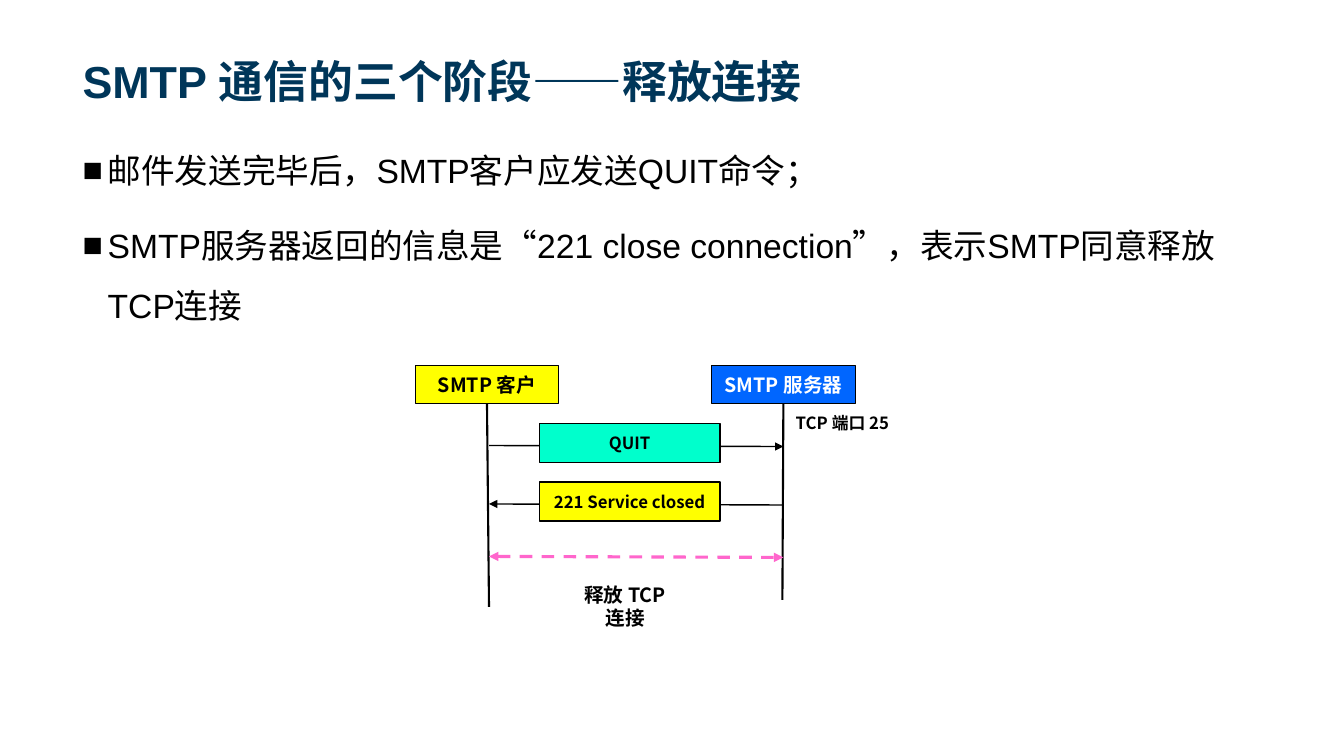
import pptx
import pptx.dml.color
import pptx.enum.dml
import pptx.enum.shapes
import pptx.enum.text
import pptx.oxml
import pptx.oxml.ns
import pptx.util
from pptx.util import Inches, Pt

COLORS = {
    "black": "000000", "white": "FFFFFF", "navy": "003659", "blue": "0066FF",
    "yellow": "FFFF00", "mint": "00FFCC", "pink": "FF66CC",
}
CJK = "Noto Sans CJK SC"
MIDDLE = pptx.enum.text.MSO_ANCHOR.MIDDLE
BOTTOM = pptx.enum.text.MSO_ANCHOR.BOTTOM
CENTER = pptx.enum.text.PP_ALIGN.CENTER


def color(name):
    return pptx.dml.color.RGBColor.from_string(COLORS[name])


def add_xml(parent, tag, **attributes):
    child = pptx.oxml.parse_xml(f"<a:{tag} {pptx.oxml.ns.nsdecls('a')}/>")
    for key, value in attributes.items():
        child.set(key, value)
    parent.append(child)


def style_paragraph(paragraph, size, font, ink, bold):
    for span in paragraph.runs:
        span.font.size = Pt(size)
        span.font.name = font
        span.font.bold = bold
        span.font.color.rgb = color(ink)
        add_xml(span.font._element, "ea", typeface=CJK)


def write_label(shape, text, size, ink="black"):
    frame = shape.text_frame
    frame.text = text
    frame.vertical_anchor = MIDDLE
    frame.paragraphs[0].alignment = CENTER
    style_paragraph(frame.paragraphs[0], size, CJK, ink, True)


def add_block(page, box, text, size, fill, ink="black", line=1):
    shape = page.shapes.add_shape(
        pptx.enum.shapes.MSO_SHAPE.RECTANGLE, *map(Inches, box))
    shape.shadow.inherit = False
    shape.fill.solid()
    shape.fill.fore_color.rgb = color(fill)
    shape.line.color.rgb = color("black")
    shape.line.width = Pt(line)
    write_label(shape, text, size, ink)
    shape.text_frame.word_wrap = False
    return shape


def add_caption(page, box, text, size, wrap):
    shape = page.shapes.add_textbox(*map(Inches, box))
    write_label(shape, text, size)
    shape.text_frame.vertical_anchor = pptx.enum.text.MSO_ANCHOR.TOP
    shape.text_frame.word_wrap = wrap


def add_line(page, start, end, width, ink="black", dash=None, arrows=()):
    line = page.shapes.add_connector(
        pptx.enum.shapes.MSO_CONNECTOR.STRAIGHT, *map(Inches, start + end))
    line.line.color.rgb = color(ink)
    line.line.width = Pt(width)
    if dash:
        line.line.dash_style = dash
    for arrow in arrows:
        add_xml(line.line._get_or_add_ln(), arrow, type="triangle")
    add_xml(line._element.spPr, "effectLst")
    return line


def add_title(page, box):
    frame = page.shapes.add_textbox(*map(Inches, box)).text_frame
    frame.word_wrap = True
    frame.vertical_anchor = BOTTOM
    frame.text = "SMTP 通信的三个阶段——释放连接"
    style_paragraph(frame.paragraphs[0], 32, "Arial", "navy", True)


def add_points(page, box):
    points = (
        "邮件发送完毕后，SMTP客户应发送QUIT命令；",
        "SMTP服务器返回的信息是“221 close connection”，表示SMTP同意释放TCP连接",
    )
    frame = page.shapes.add_textbox(*map(Inches, box)).text_frame
    frame.word_wrap = True
    frame.text = "\n".join(points)
    for index, paragraph in enumerate(frame.paragraphs):
        properties = paragraph._p.get_or_add_pPr()
        properties.set("marL", str(Inches(0.25)))
        properties.set("indent", str(-Inches(0.25)))
        add_xml(properties, "buFont", typeface="Arial")
        add_xml(properties, "buChar", char="■")
        paragraph.line_spacing = 1.5
        paragraph.space_before = Pt(10 if index else 0)
        style_paragraph(paragraph, 24, "Arial", "black", False)


def add_sequence(page, box):
    left, top, width, height = box
    head_width, head_height = 1.42, 0.37
    client_x = left + head_width / 2
    server_x = left + width - head_width / 2
    heads = (
        (left, "SMTP 客户", "yellow", "black", client_x + 0.02, height),
        (left + width - head_width, "SMTP 服务器", "blue", "white",
         server_x - 0.01, height - 0.07),
    )
    for x, text, fill, ink, foot_x, depth in heads:
        head = add_block(page, (x, top, head_width, head_height),
                         text, 14, fill, ink, 0.5)
        lifeline = add_line(page, (x + head_width / 2, top + head_height),
                            (foot_x, top + depth), 1.5)
        lifeline.begin_connect(head, 2)

    add_caption(page, (server_x - 0.05, top + 0.42, 1.27, 0.29),
                "TCP 端口 25", 12, False)

    messages = (
        (0.57, "QUIT", "mint", "tailEnd"),
        (1.15, "221 Service closed", "yellow", "headEnd"),
    )
    for offset, text, fill, arrow in messages:
        y = top + offset
        add_line(page, (client_x + 0.02, y + 0.22), (server_x, y + 0.23),
                 1, arrows=(arrow,))
        add_block(page, (left + 1.23, y, 1.79, 0.39), text, 12, fill)

    add_line(page, (client_x + 0.02, top + 1.89), (server_x, top + 1.9),
             2.25, "pink", pptx.enum.dml.MSO_LINE.DASH, ("headEnd", "tailEnd"))
    add_caption(page, (left + 1.48, top + 2.1, 1.2, 0.57),
                "释放 TCP 连接", 14, True)


def main():
    deck = pptx.Presentation()
    deck.slide_width = Inches(13.33)
    deck.slide_height = Inches(7.5)
    page = deck.slides.add_slide(deck.slide_layouts[6])
    add_title(page, (0.72, 0.14, 11.88, 0.98))
    add_points(page, (0.72, 1.24, 11.85, 2.2))
    add_sequence(page, (4.12, 3.63, 4.36, 2.39))
    deck.save("out.pptx")


if __name__ == "__main__":
    main()
